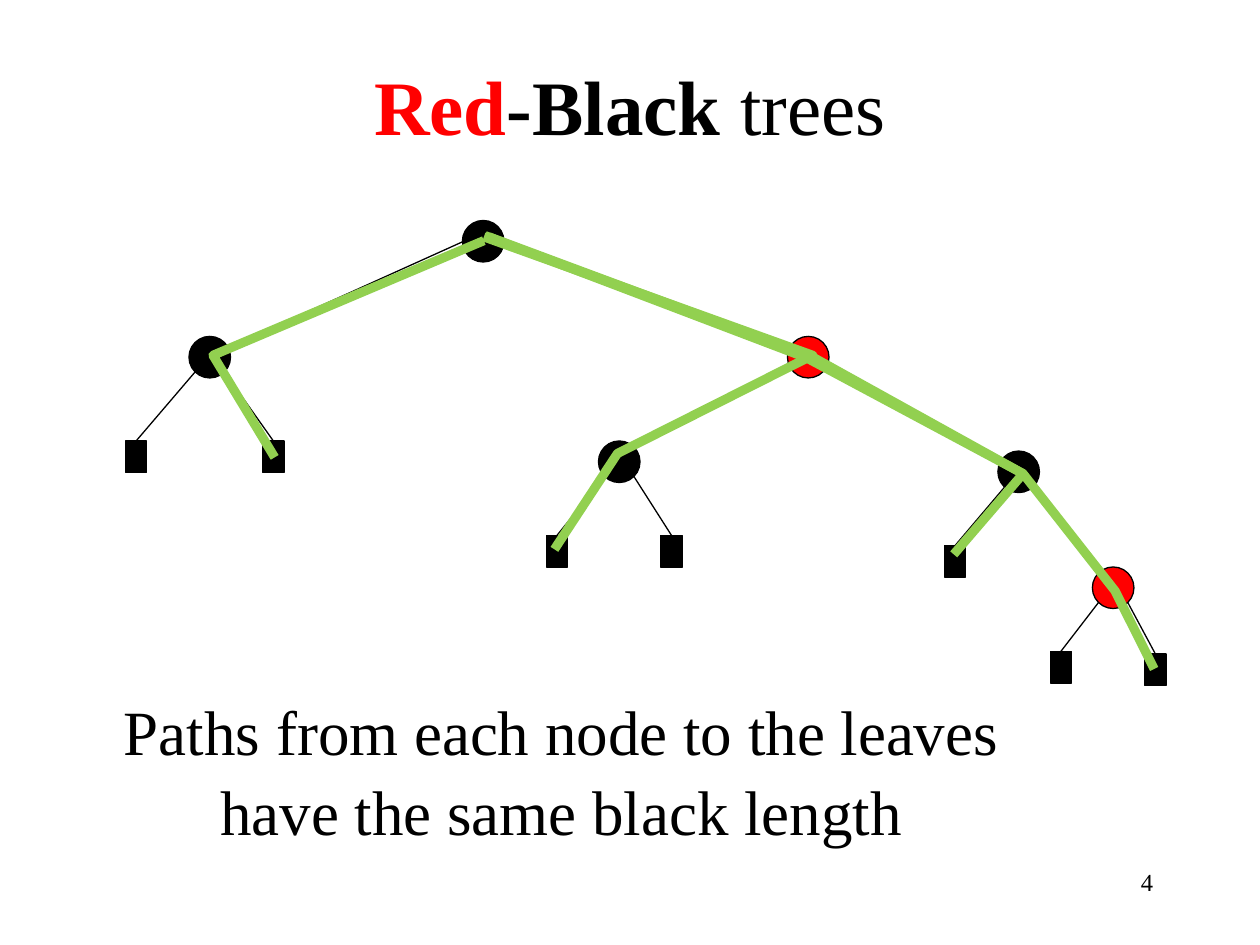
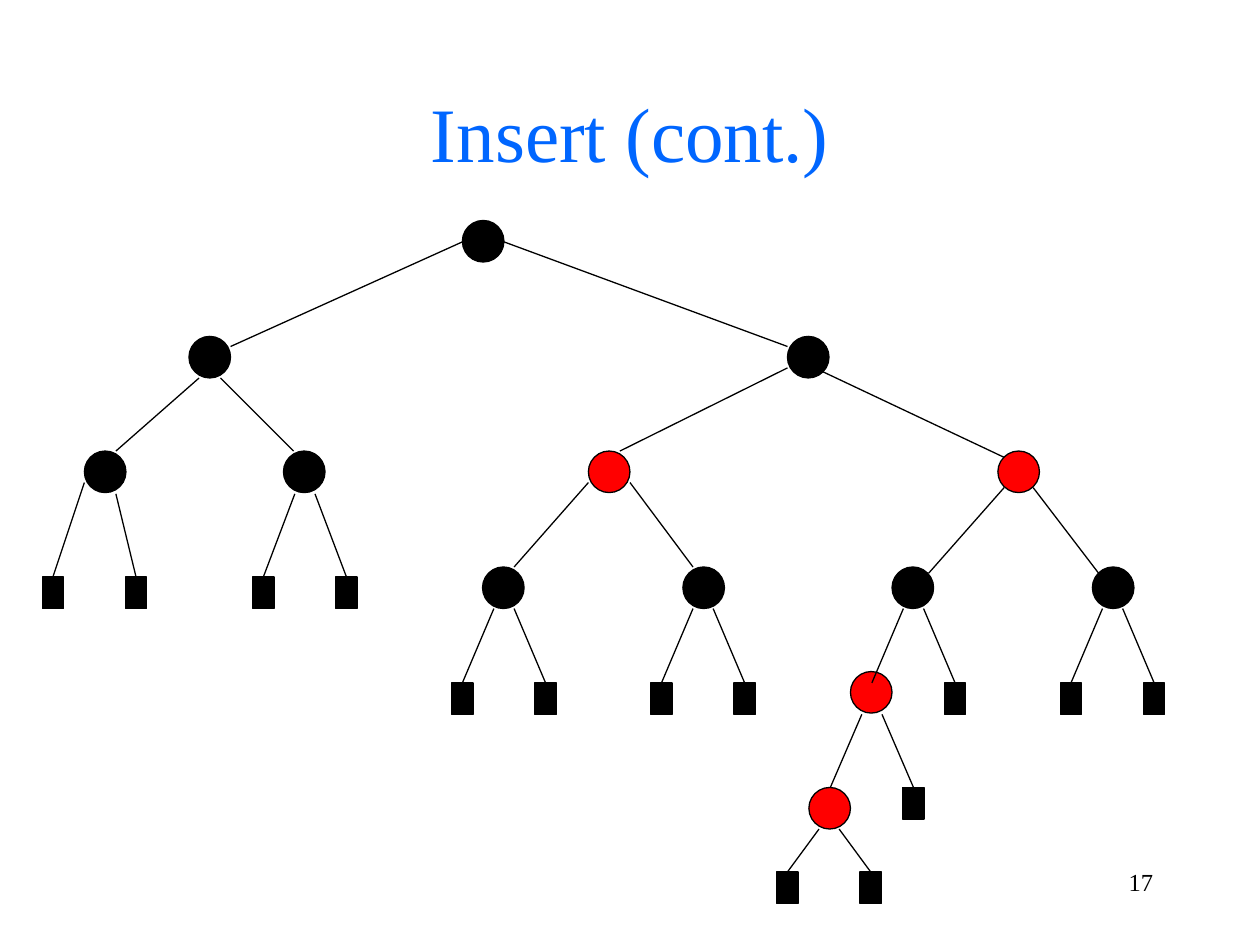
import pptx
import pptx.dml.color
import pptx.enum.shapes
import pptx.enum.text
import pptx.oxml
import pptx.util
from dataclasses import dataclass
from pptx.util import Inches


@dataclass(frozen=True)
class Theme:
    font: str = "Times New Roman"
    black: str = "000000"
    red: str = "FF0000"
    blue: str = "0066FF"
    green: str = "92D050"
    title_size: int = 44
    caption_size: int = 36
    number_size: int = 14
    thin_line: float = 0.75
    path_line: float = 5.25


theme = Theme()
color = pptx.dml.color.RGBColor.from_string
ALIGN = pptx.enum.text.PP_ALIGN
ANCHOR = pptx.enum.text.MSO_ANCHOR
SHAPE = pptx.enum.shapes.MSO_SHAPE
NODE_SIZE = 0.33
LEAF_WIDTH, LEAF_HEIGHT = 0.17, 0.25


def add_text(slide, box, runs, size, align, anchor=ANCHOR.TOP):
    """Add a one-paragraph text box; runs are (text, colour, bold)."""
    frame = slide.shapes.add_textbox(*map(Inches, box)).text_frame
    frame.word_wrap = True
    frame.vertical_anchor = anchor
    paragraph = frame.paragraphs[0]
    paragraph.alignment = align
    paragraph.font.name = theme.font
    paragraph.font.size = pptx.util.Pt(size)
    for text, run_color, bold in runs:
        run = paragraph.add_run()
        run.text = text
        run.font.name = theme.font
        run.font.size = pptx.util.Pt(size)
        run.font.bold = bold
        run.font.color.rgb = color(run_color)
    return paragraph


def add_solid(slide, kind, box, fill):
    """Add a filled shape with a thin black outline."""
    shape = slide.shapes.add_shape(kind, *map(Inches, box))
    shape.shadow.inherit = False
    shape.fill.solid()
    shape.fill.fore_color.rgb = color(fill)
    shape.line.color.rgb = color(theme.black)
    shape.line.width = pptx.util.Pt(theme.thin_line)


# Parts of the tree that both slides have: nodes by left and top, edges by ends
upper_nodes = [(3.67, 1.75), (1.5, 2.67)]
upper_edges = [
    ((3.67, 1.92), (1.83, 2.75)),
    ((4, 1.92), (6.25, 2.75)),
    ((6.25, 2.92), (4.92, 3.58)),
    ((8.2, 3.87), (8.72, 4.55)),
]

# Leaf edges run from a node to the top centre of a leaf
path_tree = {
    "number": "4",
    "title_box": (0, 0.42, 10, 0.83),
    "title": [("Red", theme.red, True), ("-Black", theme.black, True),
              (" trees", theme.black, False)],
    "caption": ["Paths from each node to the leaves",
                "have the same black length"],
    "black_nodes": upper_nodes + [(4.75, 3.5), (7.92, 3.58)],
    "red_nodes": [(6.25, 2.67), (8.67, 4.5)],
    "edges": upper_edges + [((6.58, 2.92), (8, 3.67))],
    "leaf_edges": [
        ((1.55, 2.95), (1.08, 3.5)), ((1.78, 2.95), (2.17, 3.5)),
        ((4.8, 3.78), (4.42, 4.25)), ((5.03, 3.78), (5.33, 4.25)),
        ((7.97, 3.87), (7.58, 4.33)),
        ((8.72, 4.78), (8.42, 5.17)), ((8.95, 4.78), (9.17, 5.19)),
    ],
    "paths": [
        [(3.84, 1.91), (1.69, 2.82), (2.18, 3.63)],
        [(3.84, 1.88), (6.45, 2.82), (4.9, 3.6), (4.4, 4.36)],
        [(3.85, 1.87), (6.4, 2.84), (8.12, 3.76), (7.57, 4.4)],
        [(3.88, 1.88), (6.46, 2.84), (8.12, 3.76), (8.85, 4.69), (9.16, 5.31)],
    ],
}

insert_tree = {
    "number": "17",
    "title_box": (0.75, 0.42, 8.5, 1.25),
    "title": [("Insert (cont.)", theme.blue, False)],
    "caption": [],
    "black_nodes": upper_nodes + [(6.25, 2.67), (0.67, 3.58), (2.25, 3.58)]
    + [(left, 4.5) for left in (3.83, 5.42, 7.08, 8.67)],
    "red_nodes": [(4.67, 3.58), (7.92, 3.58), (6.75, 5.33), (6.42, 6.25)],
    "edges": upper_edges + [
        ((5, 3.83), (5.5, 4.5)), ((4.67, 3.83), (4.08, 4.5)),
        ((1.75, 3), (2.33, 3.58)), ((1.58, 3), (0.92, 3.58)),
        ((6.53, 2.95), (7.97, 3.63)), ((7.97, 3.87), (7.37, 4.55)),
    ],
    "leaf_edges": [((0.67, 3.83), (0.42, 4.58)), ((0.92, 3.92), (1.08, 4.58))],
    "paths": [],
}

# Symmetric forks: node centre, node bottom, child top, whether left is a leaf
for center, bottom, child_top, left_is_leaf in [
    (2.42, 3.92, 4.58, True),
    (4, 4.83, 5.42, True),
    (5.58, 4.83, 5.42, True),
    (7.25, 4.83, 5.42, False),
    (8.83, 4.83, 5.42, True),
    (6.92, 5.67, 6.25, False),
    (6.58, 6.58, 6.92, True),
]:
    for side in (-1, 1):
        edge = ((center + side * 0.08, bottom), (center + side * 0.33, child_top))
        is_leaf = side == 1 or left_is_leaf
        insert_tree["leaf_edges" if is_leaf else "edges"].append(edge)

presentation = pptx.Presentation()
presentation.slide_width = Inches(10)
presentation.slide_height = Inches(7.5)

for tree in (path_tree, insert_tree):
    slide = presentation.slides.add_slide(presentation.slide_layouts[6])

    # Slide number, title and caption
    add_text(slide, (7.17, 6.83, 2.08, 0.5), [(tree["number"], theme.black, False)],
             theme.number_size, ALIGN.RIGHT)
    add_text(slide, tree["title_box"], tree["title"],
             theme.title_size, ALIGN.CENTER, ANCHOR.MIDDLE)
    if tree["caption"]:
        first_line, second_line = tree["caption"]
        paragraph = add_text(slide, (0.58, 5.42, 7.75, 1.31),
                             [(first_line, theme.black, False)],
                             theme.caption_size, ALIGN.CENTER)
        paragraph.line_spacing = 1.05
        paragraph.add_line_break()
        run = paragraph.add_run()
        run.text = second_line
        run.font.name = theme.font
        run.font.size = pptx.util.Pt(theme.caption_size)
        run.font.color.rgb = color(theme.black)

    # Nodes
    for nodes, fill in ((tree["black_nodes"], theme.black),
                        (tree["red_nodes"], theme.red)):
        for left, top in nodes:
            add_solid(slide, SHAPE.OVAL, (left, top, NODE_SIZE, NODE_SIZE), fill)

    # Edges
    for start, end in tree["edges"] + tree["leaf_edges"]:
        connector = slide.shapes.add_connector(
            pptx.enum.shapes.MSO_CONNECTOR.STRAIGHT, *map(Inches, start + end))
        connector.line.color.rgb = color(theme.black)
        connector.line.width = pptx.util.Pt(theme.thin_line)
        connector.element.spPr.append(pptx.oxml.parse_xml(
            '<a:effectLst xmlns:a='
            '"http://schemas.openxmlformats.org/drawingml/2006/main"/>'))

    # Leaves
    for _, (center, top) in tree["leaf_edges"]:
        add_solid(slide, SHAPE.RECTANGLE,
                  (center - LEAF_WIDTH / 2, top, LEAF_WIDTH, LEAF_HEIGHT), theme.black)

    # Highlighted paths from the root to leaves
    for points in tree["paths"]:
        root, *stops = [tuple(map(Inches, point)) for point in points]
        builder = slide.shapes.build_freeform(*root)
        builder.add_line_segments(stops, close=False)
        shape = builder.convert_to_shape()
        shape.shadow.inherit = False
        shape.fill.background()
        shape.line.color.rgb = color(theme.green)
        shape.line.width = pptx.util.Pt(theme.path_line)

presentation.save("out.pptx")
